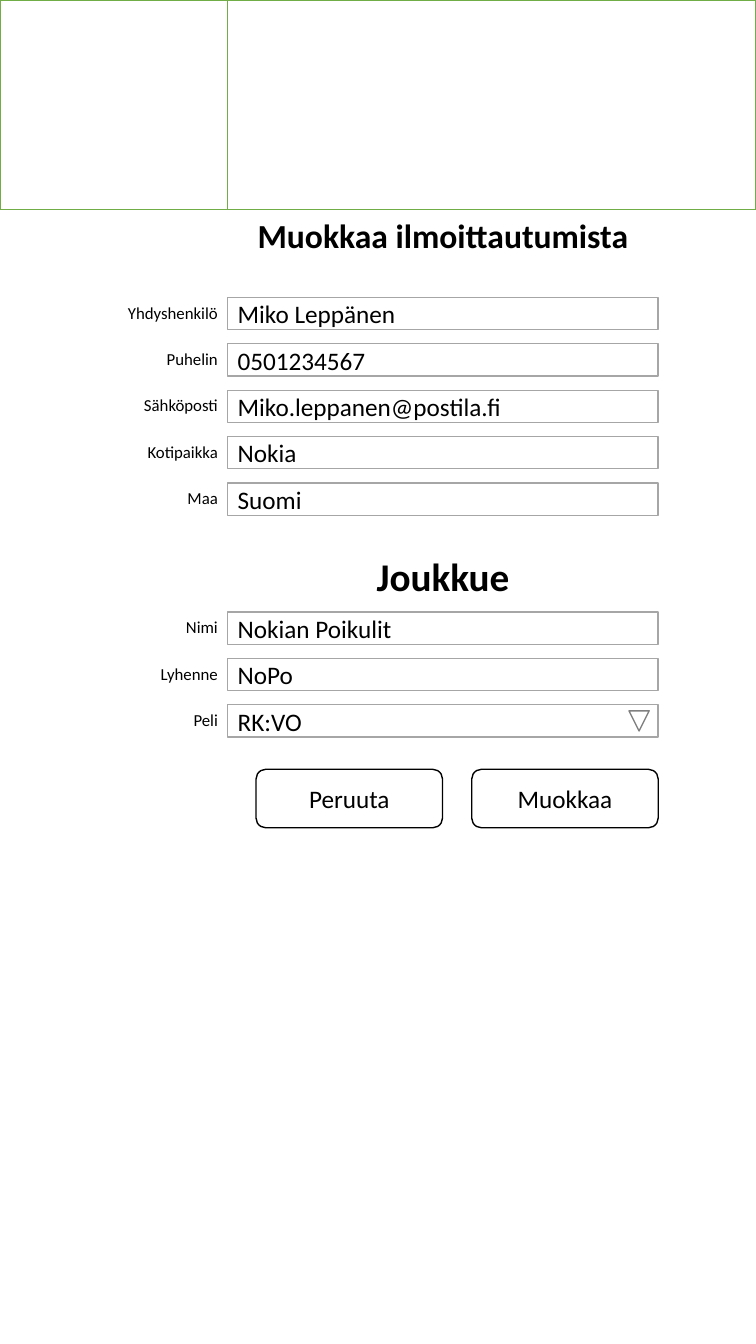
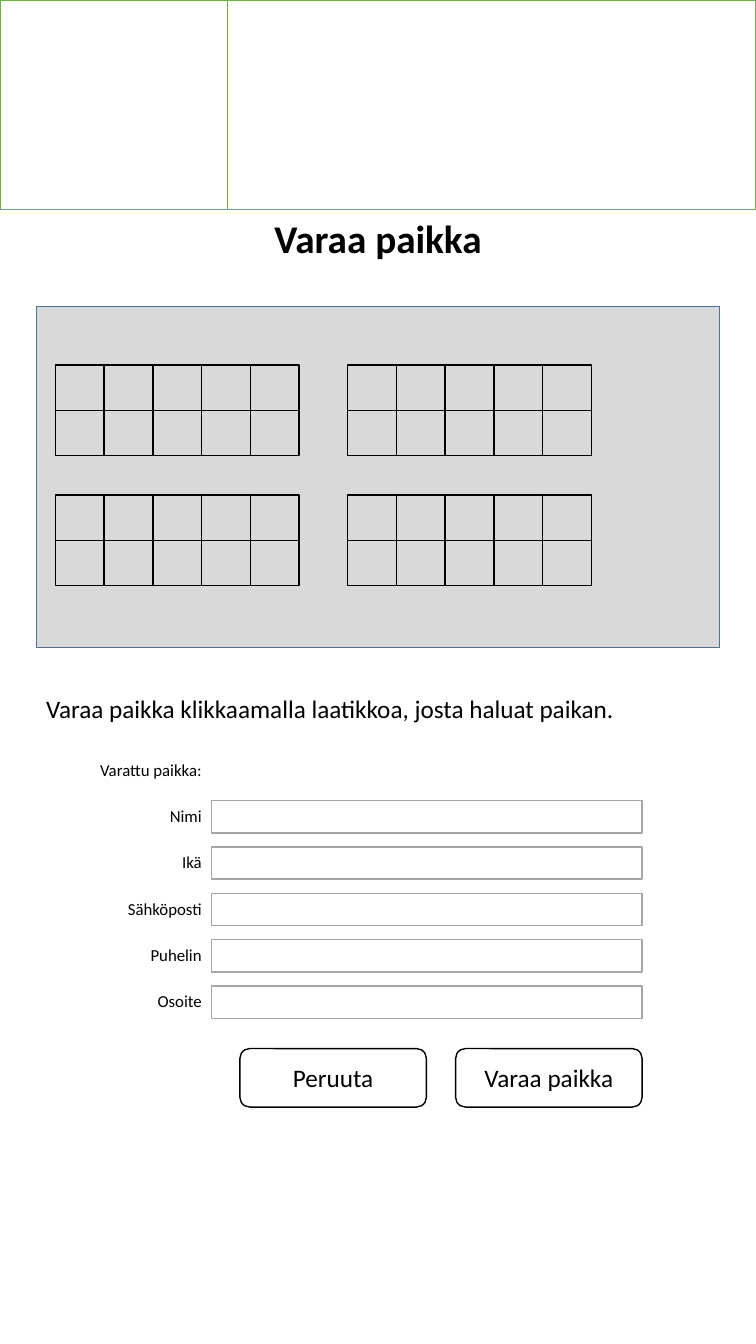
"""Build two form wireframes: editing a registration and reserving a seat."""
from itertools import product

from pptx import Presentation
from pptx.dml.color import RGBColor
from pptx.enum.shapes import MSO_SHAPE
from pptx.enum.text import MSO_ANCHOR, PP_ALIGN
from pptx.util import Inches, Pt

RECTANGLE = MSO_SHAPE.RECTANGLE
ROUNDED = MSO_SHAPE.ROUNDED_RECTANGLE
TRIANGLE = MSO_SHAPE.ISOSCELES_TRIANGLE
LEFT, CENTER, RIGHT = PP_ALIGN.LEFT, PP_ALIGN.CENTER, PP_ALIGN.RIGHT
TOP, MIDDLE = MSO_ANCHOR.TOP, MSO_ANCHOR.MIDDLE

WHITE = RGBColor(0xFF, 0xFF, 0xFF)
BLACK = RGBColor(0x00, 0x00, 0x00)
GREEN = RGBColor(0x70, 0xAD, 0x47)
FIELD_GRAY = RGBColor(0xA6, 0xA6, 0xA6)
ARROW_GRAY = RGBColor(0x80, 0x80, 0x80)
ROOM_GRAY = RGBColor(0xD9, 0xD9, 0xD9)
ROOM_BLUE = RGBColor(0x43, 0x73, 0x9E)

FONT = "Calibri"
TITLE_ONLY = 5
SLIDE_WIDTH, SLIDE_HEIGHT = 7.5, 13.33
HEADER_SPLIT, HEADER_HEIGHT = 2.26, 2.08
LABEL_WIDTH, LABEL_HEIGHT = 1.74, 0.3
FIELD_WIDTH, FIELD_HEIGHT, FIELD_PITCH = 4.27, 0.32, 0.46
BUTTON_WIDTH, BUTTON_HEIGHT = 1.85, 0.58
BUTTON_INDENT, BUTTON_PITCH = 0.28, 2.14
ROOM_LEFT, ROOM_WIDTH = 0.36, 6.78
SEAT_ROWS, SEAT_COLUMNS, SEAT_HEIGHT = 2, 5, 0.45
BLOCK_LEFT, BLOCK_TOP = 0.55, 3.62
BLOCK_PITCH_X, BLOCK_PITCH_Y = 2.9, 1.29
SEAT_WIDTH = BLOCK_PITCH_X / (SEAT_COLUMNS + 1)


def write(shape, text, size, alignment, anchor=TOP, bold=False):
    """Put one formatted paragraph into a shape."""
    frame = shape.text_frame
    frame.word_wrap = True
    frame.vertical_anchor = anchor
    paragraph = frame.paragraphs[0]
    paragraph.alignment = alignment
    run = paragraph.add_run()
    run.text = text
    formats = {"name": FONT, "size": Pt(size), "bold": bold}
    for name, value in formats.items():
        setattr(run.font, name, value)
    run.font.color.rgb = BLACK


def add_box(slide, kind, box, line, fill=WHITE):
    """Add a filled preset shape with a thin outline."""
    shape = slide.shapes.add_shape(kind, *map(Inches, box))
    shape.shadow.inherit = False
    shape.fill.solid()
    shape.fill.fore_color.rgb = fill
    shape.line.color.rgb = line
    shape.line.width = Pt(1)
    return shape


def add_text(slide, box, text, size, alignment, bold=False):
    """Add a wrapped text box."""
    text_box = slide.shapes.add_textbox(*map(Inches, box))
    write(text_box, text, size, alignment, bold=bold)


def add_label(slide, field_left, top, text):
    """Add a label that ends where its field begins."""
    box = (field_left - LABEL_WIDTH, top, LABEL_WIDTH, LABEL_HEIGHT)
    add_text(slide, box, text, 12, RIGHT)


def add_fields(slide, left, top, fields):
    """Stack labelled input fields at an even pitch."""
    for row, (label, value) in enumerate(fields):
        row_top = top + row * FIELD_PITCH
        add_label(slide, left, row_top, label)
        box = (left, row_top, FIELD_WIDTH, FIELD_HEIGHT)
        field = add_box(slide, RECTANGLE, box, FIELD_GRAY)
        if value:
            write(field, value, 18, LEFT, MIDDLE)


def add_buttons(slide, field_left, top, captions):
    """Add a row of rounded buttons below the fields."""
    for column, caption in enumerate(captions):
        left = field_left + BUTTON_INDENT + column * BUTTON_PITCH
        box = (left, top, BUTTON_WIDTH, BUTTON_HEIGHT)
        write(add_box(slide, ROUNDED, box, BLACK), caption, 18, CENTER, MIDDLE)


def add_seat_block(slide, left, top):
    """Add one block of adjoining seats."""
    for row, column in product(range(SEAT_ROWS), range(SEAT_COLUMNS)):
        box = (left + column * SEAT_WIDTH, top + row * SEAT_HEIGHT,
               SEAT_WIDTH, SEAT_HEIGHT)
        add_box(slide, RECTANGLE, box, BLACK, ROOM_GRAY)


def add_page(presentation, title, title_box, title_size):
    """Add a slide with the shared header and a placed title."""
    slide = presentation.slides.add_slide(presentation.slide_layouts[TITLE_ONLY])
    for left, right in ((0, HEADER_SPLIT), (HEADER_SPLIT, SLIDE_WIDTH)):
        add_box(slide, RECTANGLE, (left, 0, right - left, HEADER_HEIGHT), GREEN)
    placeholder = slide.shapes.title
    for name, value in zip(("left", "top", "width", "height"), title_box):
        setattr(placeholder, name, Inches(value))
    write(placeholder, title, title_size, CENTER, bold=True)
    return slide


def build_registration(presentation):
    """Build the form for editing a registration."""
    left = HEADER_SPLIT
    slide = add_page(presentation, "Muokkaa ilmoittautumista",
                     (left, HEADER_HEIGHT, FIELD_WIDTH, 0.5), 24)
    add_fields(slide, left, 2.95, [
        ("Yhdyshenkilö", "Miko Leppänen"),
        ("Puhelin", "0501234567"),
        ("Sähköposti", "Miko.leppanen@postila.fi"),
        ("Kotipaikka", "Nokia"),
        ("Maa", "Suomi"),
    ])
    add_text(slide, (left, 5.43, FIELD_WIDTH, 0.57), "Joukkue", 28, CENTER, True)
    add_fields(slide, left, 6.07, [
        ("Nimi", "Nokian Poikulit"),
        ("Lyhenne", "NoPo"),
        ("Peli", "RK:VO"),
    ])
    arrow = add_box(slide, TRIANGLE, (6.24, 7.05, 0.2, 0.2), ARROW_GRAY)
    arrow.rotation = 180
    add_buttons(slide, left, 7.63, ("Peruuta", "Muokkaa"))


def build_reservation(presentation):
    """Build the seat map and the reservation form."""
    field_left = ROOM_LEFT + LABEL_WIDTH
    slide = add_page(presentation, "Varaa paikka",
                     (0, HEADER_HEIGHT, SLIDE_WIDTH, 0.57), 28)
    add_box(slide, RECTANGLE, (ROOM_LEFT, 3.04, ROOM_WIDTH, 3.38),
            ROOM_BLUE, ROOM_GRAY)
    for row, column in product(range(2), repeat=2):
        add_seat_block(slide, BLOCK_LEFT + column * BLOCK_PITCH_X,
                       BLOCK_TOP + row * BLOCK_PITCH_Y)
    add_text(slide, (ROOM_LEFT, 6.83, ROOM_WIDTH, 0.4),
             "Varaa paikka klikkaamalla laatikkoa, josta haluat paikan.",
             18, LEFT)
    add_label(slide, field_left, 7.49, "Varattu paikka:")
    labels = ("Nimi", "Ikä", "Sähköposti", "Puhelin", "Osoite")
    add_fields(slide, field_left, 7.94, [(label, "") for label in labels])
    add_buttons(slide, field_left, 10.4, ("Peruuta", "Varaa paikka"))


def main():
    """Create and save the presentation."""
    presentation = Presentation()
    presentation.slide_width = Inches(SLIDE_WIDTH)
    presentation.slide_height = Inches(SLIDE_HEIGHT)
    build_registration(presentation)
    build_reservation(presentation)
    presentation.save("out.pptx")


main()
